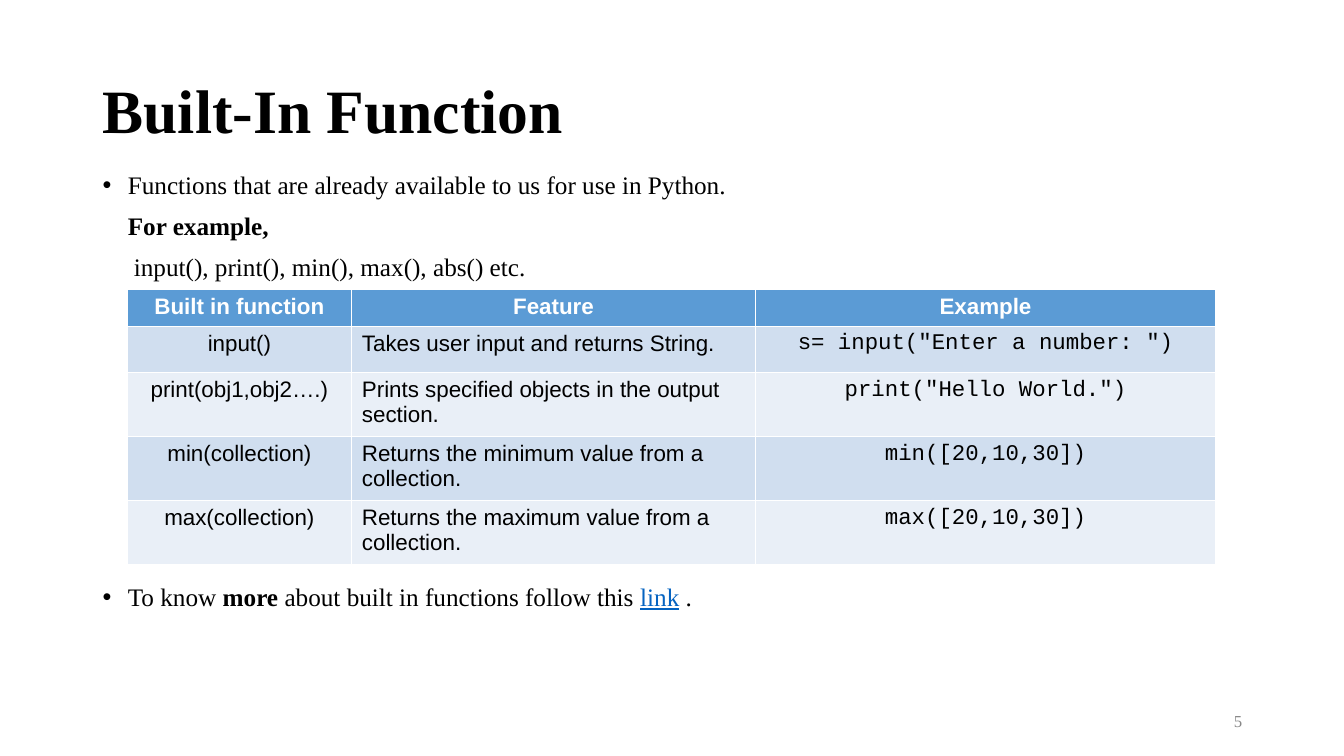
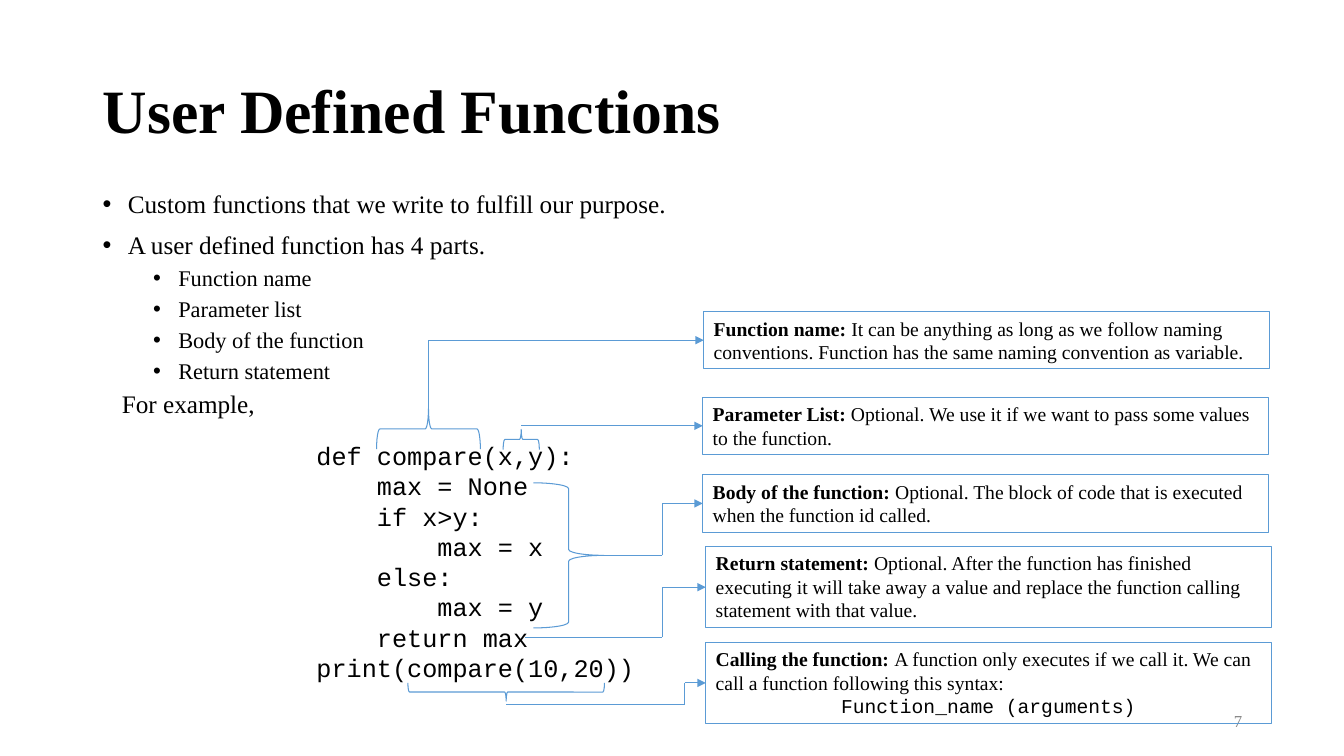
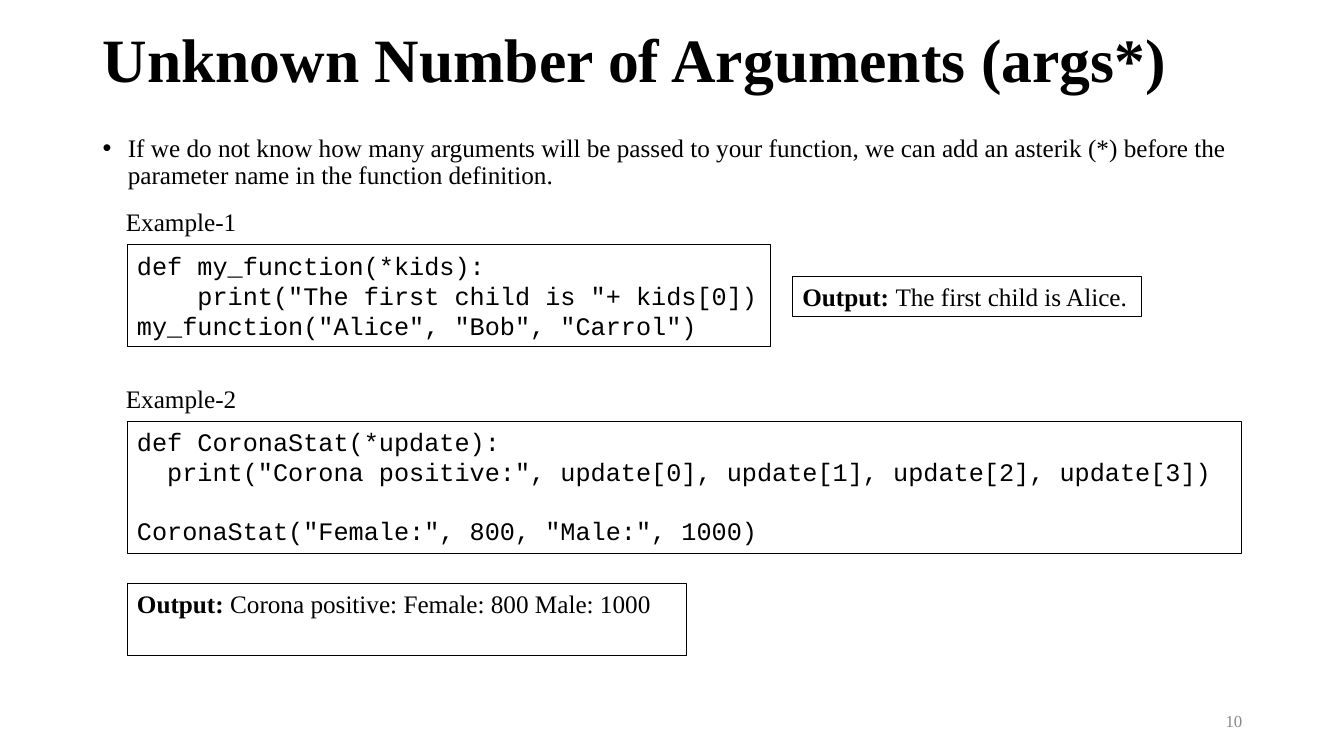
from lxml import etree
from pptx import Presentation
from pptx.dml.color import RGBColor
from pptx.enum.shapes import MSO_CONNECTOR, MSO_SHAPE
from pptx.enum.text import MSO_ANCHOR, PP_ALIGN
from pptx.oxml.ns import qn
from pptx.util import Pt

PX = 9144  # 100 px to the inch
RECT, BRACE, LINE = MSO_SHAPE.RECTANGLE, MSO_SHAPE.RIGHT_BRACE, MSO_CONNECTOR.STRAIGHT
TOP, MIDDLE = MSO_ANCHOR.TOP, MSO_ANCHOR.MIDDLE
LEFT, CENTER, RIGHT = PP_ALIGN.LEFT, PP_ALIGN.CENTER, PP_ALIGN.RIGHT

COLORS = {"ink": "000000", "white": "FFFFFF", "blue": "5B9BD5", "link": "0563C1",
          "grey": "888888", "dark": "D0DEEF", "light": "E9EFF7"}
SERIF, SANS, MONO = "Times New Roman", "Arial", "Courier New"
CHAR = 15  # width of one 18 pt code letter

# Font formats
BODY = {"name": SERIF, "size": 18, "color": "ink", "bold": False}
TITLE = {**BODY, "size": 44, "bold": True}
NUMBER = {**BODY, "size": 12, "color": "grey"}
NOTE = {**BODY, "size": 14}
CODE = {**BODY, "name": MONO}
CELL = {**BODY, "name": SANS, "size": 16}
HEAD = {**CELL, "color": "white", "bold": True}
BOLD = {"bold": True}

# Paragraph formats
TIGHT = {"line_spacing": 0.9}
NEXT = {**TIGHT, "space_before": Pt(10)}
SUB = {**TIGHT, "space_before": Pt(5)}
BULLET = {"margin": 25, "bullet": "•"}
INNER = {**SUB, "margin": 75, "bullet": "•"}

# A paragraph is (runs, format); a run is (text, font changes)
BUILT_IN = [
    ([("Functions that are already available to us for use in Python.", {})],
     {**TIGHT, **BULLET}),
    ([("For example,", BOLD)], {**NEXT, "margin": 25}),
    ([("input(), print(), min(), max(), abs() etc.", {})], {**NEXT, "margin": 31}),
    ([("To know ", {}), ("more", BOLD), (" about built in functions follow this ", {}),
      ("link", {"color": "link", "underline": True}), (" .", {})],
     {**TIGHT, **BULLET, "space_before": Pt(216)}),
]
COLUMNS = [(223, CENTER, SANS), (400, LEFT, SANS), (457, CENTER, MONO)]
HEIGHTS = [33, 46, 57, 57, 57]
ROWS = [
    ("Built in function", "Feature", "Example"),
    ("input()", "Takes user input and returns String.", 's= input("Enter a number: ")'),
    ("print(obj1,obj2….)", "Prints specified objects in the output section.",
     'print("Hello World.")'),
    ("min(collection)", "Returns the minimum value from a collection.", "min([20,10,30])"),
    ("max(collection)", "Returns the maximum value from a collection.", "max([20,10,30])"),
]

PARTS = ["Function name", "Parameter list", "Body of the function", "Return statement"]
CUSTOM = [
    ([("Custom functions that we write to fulfill our purpose.", {})], {**TIGHT, **BULLET}),
    ([("A user defined function has 4 parts.", {})], {**NEXT, **BULLET}),
    *[([(part, {"size": 16})], INNER) for part in PARTS],
    ([("For example,", {})], {**SUB, "margin": 19}),
]
# Code lines: (leading letters, text)
COMPARE = [(0, "def compare(x,y):"), (4, "max = None"), (4, "if x>y:"), (8, "max = x"),
           (4, "else:"), (8, "max = y"), (4, "return max"), (0, "print(compare(10,20))")]
# Braces: frame before turning, angle
BRACES = [((405, 374, 40, 103), 270), ((507, 418, 20, 36), 270),
          ((529, 479, 70, 144), 0), ((493, 589, 18, 195), 90)]
# Callouts: left, top, height, label, text, syntax, route start, x of the last bend
CALLOUTS = [
    (698, 309, 57, "Function name: ", "It can be anything as long as we follow naming "
     "conventions. Function has the same naming convention as variable.", "",
     [(425, 406)], 425),
    (697, 394, 57, "Parameter List: ", "Optional. We use it if we want to pass some values "
     "to the function.", "", [], 517),
    (697, 471, 57, "Body of the function: ", "Optional. The block of code that is executed "
     "when the function id called.", "", [(599, 551), (657, 551)], 657),
    (700, 542, 81, "Return statement: ", "Optional. After the function has finished "
     "executing it will take away a value and replace the function calling statement with "
     "that value.", "", [(521, 632), (657, 632)], 657),
    (700, 637, 81, "Calling the function: ", "A function only executes if we call it. We "
     "can call a function following this syntax:", "Function_name (arguments)",
     [(502, 699), (679, 699)], 679),
]

UNKNOWN = [([("If we do not know how many arguments will be passed to your function, we can "
              "add an asterik (*) before the parameter name in the function definition.", {})],
            {**TIGHT, **BULLET})]
LABELS = [("Example-1", 200), ("Example-2", 375)]
KIDS = [(0, "def my_function(*kids):"), (4, 'print("The first child is "+ kids[0])'),
        (0, 'my_function("Alice", "Bob", "Carrol")')]
STAT = [(0, "def CoronaStat(*update):"),
        (2, 'print("Corona positive:", update[0], update[1], update[2], update[3])'),
        (0, 'CoronaStat("Female:", 800, "Male:", 1000)')]
LISTINGS = [((126, 243, 638, 101), KIDS, {}),
            ((126, 418, 1105, 131), STAT, {2: Pt(20.4)})]
OUTPUTS = [((786, 274, 346, 40), "The first child is Alice."),
           ((126, 579, 555, 71), "Corona positive: Female: 800 Male: 1000")]


def px(*values):
    return [round(value * PX) for value in values]


def rgb(name):
    return RGBColor.from_string(COLORS[name])


def write(frame, paras, font):
    """Fill a text frame with paragraphs in one base font."""
    for i, (runs, form) in enumerate(paras):
        para = frame.paragraphs[0] if i == 0 else frame.add_paragraph()
        form = {"alignment": LEFT, **form}
        margin, bullet = form.pop("margin", 0), form.pop("bullet", "")
        for key, value in form.items():
            setattr(para, key, value)
        props = para._p.get_or_add_pPr()
        props.set("marL", str(margin * PX))
        props.set("indent", str(-25 * PX if bullet else 0))
        if bullet:
            etree.SubElement(props, qn("a:buFont")).set("typeface", SANS)
            etree.SubElement(props, qn("a:buChar")).set("char", bullet)
        for text, change in runs:
            look = {**font, **change}
            run = para.add_run()
            run.text = text
            run.font.color.rgb = rgb(look.pop("color"))
            look["size"] = Pt(look["size"])
            for key, value in look.items():
                setattr(run.font, key, value)


def outline(slide, kind, frame, color):
    shape = slide.shapes.add_shape(kind, *px(*frame))
    shape.shadow.inherit = False
    shape.fill.background()
    shape.line.color.rgb = rgb(color)
    shape.line.width = Pt(0.75)
    return shape


def text(slide, frame, paras, font, anchor=TOP, line=None):
    """Add a text box, or a rectangle with text if a line colour is given."""
    box = (outline(slide, RECT, frame, line) if line
           else slide.shapes.add_textbox(*px(*frame)))
    box.text_frame.word_wrap = True
    box.text_frame.vertical_anchor = anchor
    write(box.text_frame, paras, font)
    return box


def code(lines, gaps):
    return [([(line, {})], {"margin": depth * CHAR, "space_before": gaps.get(i, Pt(0))})
            for i, (depth, line) in enumerate(lines)]


def link(slide, start, end, box=None):
    """Draw a line, with an arrowhead where it joins the left side of a box."""
    line = slide.shapes.add_connector(LINE, *px(*start, *end))
    line.line.color.rgb = rgb("blue")
    line.line.width = Pt(0.75)
    props = line._element.spPr
    if box:
        line.end_connect(box, 1)
        etree.SubElement(props.find(qn("a:ln")), qn("a:tailEnd")).set("type", "triangle")
    etree.SubElement(props, qn("a:effectLst"))


def page(deck, title, number, body, top, height, head=(40, 145)):
    slide = deck.slides.add_slide(deck.slide_layouts[6])
    text(slide, (92, head[0], 1150, head[1]), [([(title, {})], TIGHT)], TITLE, MIDDLE)
    text(slide, (92, top, 1150, height), body, BODY)
    text(slide, (942, 695, 300, 40), [([(number, {})], {"alignment": RIGHT})],
         NUMBER, MIDDLE)
    return slide


def built_in(deck):
    slide = page(deck, "Built-In Function", "5", BUILT_IN, 166, 476)
    width = sum(column[0] for column in COLUMNS)
    table = slide.shapes.add_table(len(ROWS), len(COLUMNS),
                                   *px(126, 287, width, sum(HEIGHTS))).table
    for r, row in enumerate(ROWS):
        table.rows[r].height = HEIGHTS[r] * PX
        shade = "blue" if r == 0 else ("light", "dark")[r % 2]
        for c, (wide, align, name) in enumerate(COLUMNS):
            table.columns[c].width = wide * PX
            cell = table.cell(r, c)
            cell.fill.solid()
            cell.fill.fore_color.rgb = rgb(shade)
            font = {**CELL, "name": name} if r else HEAD
            form = {"alignment": align if r else CENTER}
            write(cell.text_frame, [([(row[c], {})], form)], font)


def custom(deck):
    slide = page(deck, "User Defined Functions", "7", CUSTOM, 185, 537)
    text(slide, (304, 432, 342, 252), code(COMPARE, {}), CODE)
    for frame, angle in BRACES:
        outline(slide, BRACE, frame, "blue").rotation = angle
    for left, top, height, label, note, syntax, start, bend in CALLOUTS:
        paras = [([(label, BOLD), (note, {})], {})]
        if syntax:
            paras.append(([(syntax, {"name": MONO})], {"alignment": CENTER}))
        box = text(slide, (left, top, 561, height), paras, NOTE, line="blue")
        mid = top + height / 2
        route = [*start, (bend, mid)]
        for a, b in zip(route, route[1:]):
            link(slide, a, b)
        link(slide, route[-1], (left, mid), box)


def unknown(deck):
    slide = page(deck, "Unknown Number of Arguments (args*)", "10", UNKNOWN, 130, 70,
                 head=(5, 115))
    for label, top in LABELS:
        text(slide, (115, top, 131, 40), [([(label, {})], {})], BODY)
    for frame, lines, gaps in LISTINGS:
        text(slide, frame, code(lines, gaps), CODE, line="ink")
    for frame, result in OUTPUTS:
        text(slide, frame, [([("Output: ", BOLD), (result, {})], {})], BODY, line="ink")


def main():
    deck = Presentation()
    deck.slide_width, deck.slide_height = px(1333, 750)
    for build in (built_in, custom, unknown):
        build(deck)
    deck.save("out.pptx")


if __name__ == "__main__":
    main()
